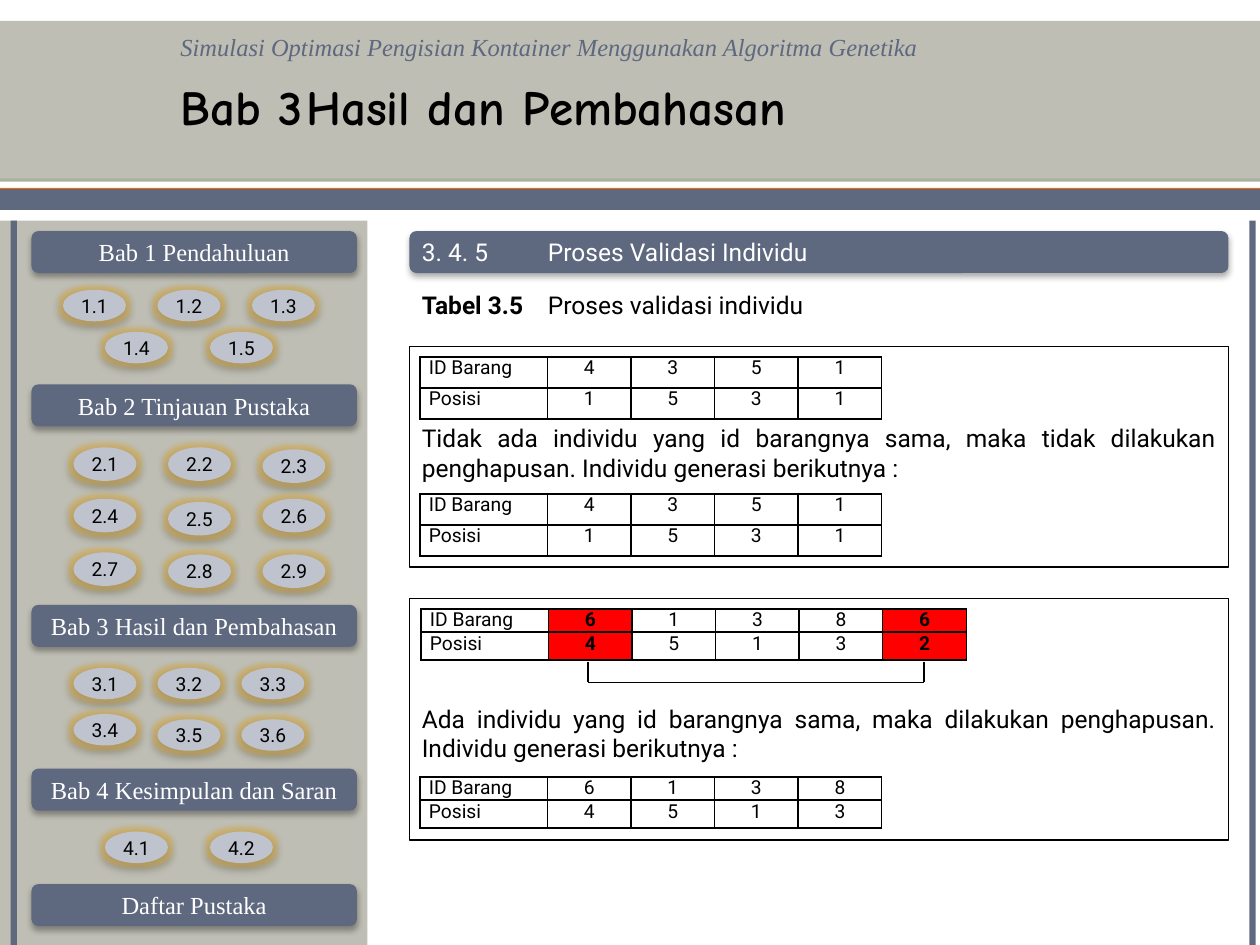
from dataclasses import dataclass
from typing import Any, Optional

import pptx
import pptx.dml.color
import pptx.enum.shapes
import pptx.enum.text
import pptx.oxml
import pptx.oxml.ns
import pptx.util

SHAPES = pptx.enum.shapes.MSO_SHAPE
ALIGN = pptx.enum.text.PP_ALIGN
ANCHOR = pptx.enum.text.MSO_ANCHOR
CELL = 1 / 12  # the slide is a grid of 120 columns by 90 rows, in inches per cell


@dataclass(frozen=True)
class Theme:
    slate: str = "5E687E"
    stone: str = "BEBEB4"
    sage: str = "ABB19F"
    orange: str = "F4680B"
    button: str = "BEC3CE"
    glow: str = "DDB04A"
    red: str = "FF0000"
    black: str = "000000"
    white: str = "FFFFFF"
    serif: str = "Times New Roman"
    sans: str = "Roboto"
    display: str = "Comic Neue"
    title_size: float = 28
    body_size: float = 14
    small_size: float = 11


THEME = Theme()


@dataclass(frozen=True)
class Box:
    column: float
    row: float
    columns: float
    rows: float


@dataclass(frozen=True)
class Style:
    size: float = THEME.body_size
    font: str = THEME.sans
    color: str = THEME.black
    bold: bool = False
    italic: bool = False


@dataclass(frozen=True)
class ButtonRow:
    columns: tuple[float, ...]
    rows: tuple[float, ...]


@dataclass(frozen=True)
class Chapter:
    title: str
    row: float
    button_rows: tuple[ButtonRow, ...] = ()
    button_height: float = 3


@dataclass(frozen=True)
class Individual:
    column: float
    row: float
    row_heights: tuple[float, float]
    items: str
    positions: str
    duplicates: tuple[int, ...] = ()


CHAPTERS = (
    Chapter("Bab 1 Pendahuluan", 22, (
        ButtonRow((6, 15, 24), (27.6,) * 3), ButtonRow((10, 20), (31.6,) * 2))),
    Chapter("Bab 2 Tinjauan Pustaka", 36.6, (
        ButtonRow((7, 16, 25), (42.6, 42.6, 42.8)),
        ButtonRow((7, 16, 25), (47.5, 47.8, 47.5)),
        ButtonRow((7, 16, 25), (52.6, 52.8, 52.8))), 3.2),
    Chapter("Bab 3 Hasil dan Pembahasan", 57.6, (
        ButtonRow((7, 15, 23), (63.6,) * 3), ButtonRow((7, 15, 23), (68, 68.5, 68.5)))),
    Chapter("Bab 4 Kesimpulan dan Saran", 73.2, (ButtonRow((10, 20), (79.2,) * 2),)),
    Chapter("Daftar Pustaka", 84.2),
)
TALL, SHORT = (2.95, 2.95), (2.2, 2.65)
INDIVIDUALS = (
    Individual(40, 34, TALL, "4351", "1531"),
    Individual(40, 47.05, TALL, "4351", "1531"),
    Individual(40.1, 58, SHORT, "61386", "45132", (1, 5)),
    Individual(40, 74, SHORT, "6138", "4513"),
)


def cells(count: float) -> int:
    return pptx.util.Inches(count * CELL)


def place(box: Box) -> tuple[int, ...]:
    return tuple(cells(n) for n in (box.column, box.row, box.columns, box.rows))


def rgb(color: str) -> Any:
    return pptx.dml.color.RGBColor.from_string(color)


def set_effects(shape: Any, glow: bool = False) -> None:
    """Give a shape a soft shadow below it and, if asked, a golden glow."""
    halo = (f'<a:glow rad="63500"><a:srgbClr val="{THEME.glow}">'
            '<a:alpha val="55000"/></a:srgbClr></a:glow>') if glow else ""
    shape._element.spPr.remove(shape._element.spPr.find(pptx.oxml.ns.qn("a:effectLst")))
    shape._element.spPr.append(pptx.oxml.parse_xml(
        f'<a:effectLst {pptx.oxml.ns.nsdecls("a")}>{halo}'
        '<a:outerShdw blurRad="44450" dist="27940" dir="5400000" rotWithShape="0">'
        '<a:srgbClr val="000000"><a:alpha val="32000"/></a:srgbClr></a:outerShdw></a:effectLst>'))


def format_run(run: Any, style: Style) -> None:
    run.font.size = pptx.util.Pt(style.size)
    run.font.name = style.font
    run.font.color.rgb = rgb(style.color)
    run.font.bold = style.bold
    run.font.italic = style.italic


def write(frame: Any, text: str, style: Style, align: Any = ALIGN.LEFT) -> None:
    frame.text = text
    frame.word_wrap = True
    frame.paragraphs[0].alignment = align
    format_run(frame.paragraphs[0].runs[0], style)


def add_block(slide: Any, box: Box, fill: Optional[str], kind: Any = SHAPES.RECTANGLE) -> Any:
    shape = slide.shapes.add_shape(kind, *place(box))
    shape.shadow.inherit = False
    if fill:
        shape.fill.solid()
        shape.fill.fore_color.rgb = rgb(fill)
        shape.line.fill.background()
    else:
        shape.fill.background()
        shape.line.color.rgb = rgb(THEME.black)
        shape.line.width = pptx.util.Pt(0.75)
    return shape


def add_bar(slide: Any, box: Box) -> Any:
    bar = add_block(slide, box, THEME.slate, SHAPES.FLOWCHART_ALTERNATE_PROCESS)
    set_effects(bar)
    return bar


def add_text(slide: Any, box: Box, text: str, style: Style, tab: float = 0) -> Any:
    frame = slide.shapes.add_textbox(*place(box)).text_frame
    if tab:
        properties = frame.paragraphs[0]._p.get_or_add_pPr()
        properties.append(pptx.oxml.parse_xml(
            f'<a:tabLst {pptx.oxml.ns.nsdecls("a")}><a:tab pos="{cells(tab)}" algn="l"/></a:tabLst>'))
    write(frame, text, style)
    return frame


def add_chapter(slide: Any, number: int, chapter: Chapter) -> None:
    bar = add_bar(slide, Box(3, chapter.row, 31, 4))
    bar.text_frame.vertical_anchor = ANCHOR.MIDDLE
    write(bar.text_frame, chapter.title, Style(font=THEME.serif, color=THEME.white), ALIGN.CENTER)
    spots = [spot for line in chapter.button_rows for spot in zip(line.columns, line.rows)]
    for index, (column, row) in enumerate(spots, start=1):
        button = add_block(slide, Box(column, row, 6, chapter.button_height),
                           THEME.button, SHAPES.OVAL)
        set_effects(button, glow=True)
        frame = button.text_frame
        frame.margin_left = frame.margin_right = frame.margin_top = frame.margin_bottom = 0
        frame.vertical_anchor = ANCHOR.MIDDLE
        write(frame, f"{number}.{index}", Style(THEME.small_size), ALIGN.CENTER)


def add_panel(slide: Any, box: Box, text_offset: float, text: str) -> None:
    frame = add_block(slide, box, None).text_frame
    frame.vertical_anchor = ANCHOR.TOP
    frame.margin_top = cells(text_offset)
    write(frame, text, Style(), ALIGN.JUSTIFY)


def format_cell(cell: Any, text: str, is_label: bool, is_duplicate: bool) -> None:
    cell.margin_left = cell.margin_right = pptx.util.Inches(0.07)
    cell.margin_top = cell.margin_bottom = 0
    write(cell.text_frame, text, Style(THEME.small_size, bold=is_duplicate),
          ALIGN.LEFT if is_label else ALIGN.CENTER)
    properties = cell._tc.get_or_add_tcPr()
    for side in ("lnL", "lnR", "lnT", "lnB"):
        properties.append(pptx.oxml.parse_xml(
            f'<a:{side} {pptx.oxml.ns.nsdecls("a")} w="12700"><a:solidFill>'
            f'<a:srgbClr val="{THEME.black}"/></a:solidFill></a:{side}>'))
    if is_duplicate:
        cell.fill.solid()
        cell.fill.fore_color.rgb = rgb(THEME.red)
    else:
        cell.fill.background()


def add_individual(slide: Any, individual: Individual) -> None:
    rows = (("ID Barang", *individual.items), ("Posisi", *individual.positions))
    widths = [12.15] + [7.96] * len(individual.items)
    box = Box(individual.column, individual.row, sum(widths), sum(individual.row_heights))
    table = slide.shapes.add_table(len(rows), len(widths), *place(box)).table
    table.first_row = table.horz_banding = False
    for column, width in zip(table.columns, widths):
        column.width = cells(width)
    for row_index, (values, height) in enumerate(zip(rows, individual.row_heights)):
        table.rows[row_index].height = cells(height)
        for index, value in enumerate(values):
            format_cell(table.cell(row_index, index), value, index == 0,
                        index in individual.duplicates)


def add_line(slide: Any, start: tuple[float, float], end: tuple[float, float]) -> None:
    line = slide.shapes.add_connector(pptx.enum.shapes.MSO_CONNECTOR.STRAIGHT,
                                      *(cells(n) for n in (*start, *end)))
    line.line.color.rgb = rgb(THEME.black)
    line.line.width = pptx.util.Pt(1)
    line._element.spPr.append(pptx.oxml.parse_xml(
        f'<a:effectLst {pptx.oxml.ns.nsdecls("a")}/>'))


def main() -> None:
    presentation = pptx.Presentation()
    presentation.slide_width, presentation.slide_height = cells(120), cells(90)
    slide = presentation.slides.add_slide(presentation.slide_layouts[6])

    # Header bands, sidebar and edge stripes
    for box, color in (
        (Box(0, 2.2, 120, 15.1), THEME.sage), (Box(0, 17.9, 120, 2), THEME.orange),
        (Box(0, 2, 120, 15), THEME.stone), (Box(0, 18, 120, 2), THEME.slate),
        (Box(0, 21, 35, 69), THEME.stone), (Box(1, 21, 0.6, 69), THEME.slate),
        (Box(119, 21, 0.6, 69), THEME.slate),
    ):
        add_block(slide, box, color)

    # Headings
    add_text(slide, Box(16, 2.5, 104, 4),
             "Simulasi Optimasi Pengisian Kontainer Menggunakan Algoritma Genetika",
             Style(font=THEME.serif, color=THEME.slate, italic=True))
    add_text(slide, Box(16, 6.7, 62, 6.8), "Bab 3\tHasil dan Pembahasan",
             Style(THEME.title_size, THEME.display, bold=True), tab=15.1)
    add_bar(slide, Box(39, 22, 78, 4))
    add_text(slide, Box(39, 22, 78, 4), "3. 4. 5\tProses Validasi Individu",
             Style(color=THEME.white), tab=8.05)
    caption = add_text(slide, Box(39, 27, 77, 4), "Tabel 3.5", Style(bold=True), tab=10.8)
    caption_rest = caption.paragraphs[0].add_run()
    caption_rest.text = "\tProses validasi individu"
    format_run(caption_rest, Style())

    # Chapter navigation
    for number, chapter in enumerate(CHAPTERS, start=1):
        add_chapter(slide, number, chapter)

    # Validation panels with their tables
    add_panel(slide, Box(39, 33, 78, 21), 7.3,
              "Tidak ada individu yang id barangnya sama, maka tidak dilakukan penghapusan. "
              "Individu generasi berikutnya :")
    add_panel(slide, Box(39, 57, 78, 23), 10.05,
              "Ada individu yang id barangnya sama, maka dilakukan penghapusan. "
              "Individu generasi berikutnya :")
    for individual in INDIVIDUALS:
        add_individual(slide, individual)

    # Bracket joining the duplicate items
    for column in (56, 88):
        add_line(slide, (column, 63), (column, 65))
    add_line(slide, (56, 65), (88, 65))

    presentation.save("out.pptx")


if __name__ == "__main__":
    main()
